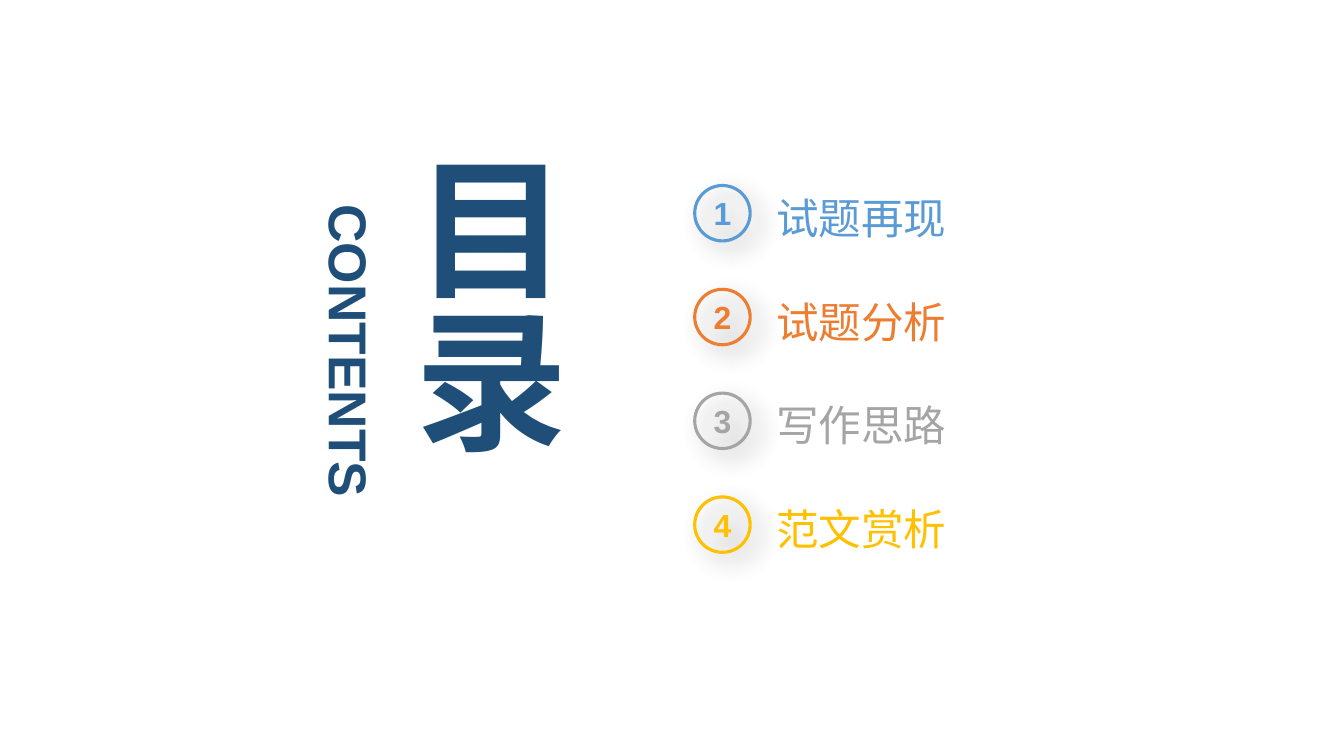
from dataclasses import dataclass

from lxml.etree import SubElement
from pptx import Presentation
from pptx.dml.color import RGBColor
from pptx.enum.shapes import MSO_SHAPE
from pptx.enum.text import MSO_ANCHOR, PP_ALIGN
from pptx.oxml.ns import qn
from pptx.util import Inches, Pt


@dataclass(frozen=True)
class Theme:
    font: str = "Arial"
    navy: str = "1F4E79"
    accents: tuple = ("5B9BD5", "ED7D31", "A5A5A5", "FFC000")
    shadow: str = "000000"
    title_size: float = 109
    subtitle_size: float = 38
    label_size: float = 30.4
    number_size: float = 22.8


THEME = Theme()
TOPICS = ("试题再现", "试题分析", "写作思路", "范文赏析")
FIRST_TOP = 1.84
ROW_PITCH = 1.03


def color(value):
    return RGBColor.from_string(value)


def write_text(shape, text, size, tint, bold=False, align=PP_ALIGN.CENTER,
               anchor=MSO_ANCHOR.MIDDLE):
    frame = shape.text_frame
    frame.word_wrap = True
    frame.vertical_anchor = anchor
    frame.margin_left = frame.margin_right = 0
    frame.margin_top = frame.margin_bottom = 0
    para = frame.paragraphs[0]
    para.text = text
    para.alignment = align
    para.font.name = THEME.font
    para.font.size = Pt(size)
    para.font.bold = bold
    para.font.color.rgb = color(tint)


def add_text(page, left, top, width, height, text, size, tint, **style):
    box = page.shapes.add_textbox(Inches(left), Inches(top), Inches(width), Inches(height))
    write_text(box, text, size, tint, **style)
    return box


def add_soft_shadow(shape):
    effects = SubElement(shape._element.spPr, qn("a:effectLst"))
    shadow = SubElement(effects, qn("a:outerShdw"), blurRad=str(Pt(16)), dist=str(Pt(9)),
                        dir="2700000", algn="tl", rotWithShape="0")
    tint = SubElement(shadow, qn("a:srgbClr"), val=THEME.shadow)
    SubElement(tint, qn("a:alpha"), val="40000")


def add_badge(page, left, top, number, tint):
    badge = page.shapes.add_shape(MSO_SHAPE.OVAL, Inches(left), Inches(top),
                                  Inches(0.55), Inches(0.55))
    badge.fill.background()
    badge.line.color.rgb = color(tint)
    badge.line.width = Pt(2.25)
    add_soft_shadow(badge)
    write_text(badge, str(number), THEME.number_size, tint, bold=True)


def add_label(page, left, top, width, height, text, tint):
    right, bottom = left + width, top + height
    corners = ((right, top), (right, bottom), (left, bottom))
    outline = page.shapes.build_freeform(Inches(left), Inches(top))
    outline.add_line_segments([(Inches(x), Inches(y)) for x, y in corners], close=True)
    label = outline.convert_to_shape()
    label.fill.background()
    label.line.fill.background()
    label.shadow.inherit = False
    write_text(label, text, THEME.label_size, tint, align=PP_ALIGN.LEFT)


def add_topic(page, index, topic, tint):
    top = FIRST_TOP + index * ROW_PITCH
    add_badge(page, 6.89, top, index + 1, tint)
    add_label(page, 7.7, top + 0.06, 2.76, 0.51, topic, tint)


def add_heading(page):
    title = add_text(page, 3.9, 1.51, 1.84, 3.93, "目录", THEME.title_size, THEME.navy,
                     bold=True)
    title.text_frame._txBody.bodyPr.set("vert", "eaVert")
    subtitle = add_text(page, 1.76, 3.16, 3.42, 0.64, "CONTENTS", THEME.subtitle_size,
                        THEME.navy, bold=True, anchor=MSO_ANCHOR.TOP)
    subtitle.rotation = 90


def main():
    deck = Presentation()
    deck.slide_width = Inches(13.33)
    deck.slide_height = Inches(7.5)
    page = deck.slides.add_slide(deck.slide_layouts[6])
    for index, (topic, tint) in enumerate(zip(TOPICS, THEME.accents)):
        add_topic(page, index, topic, tint)
    add_heading(page)
    deck.save("out.pptx")


if __name__ == "__main__":
    main()
